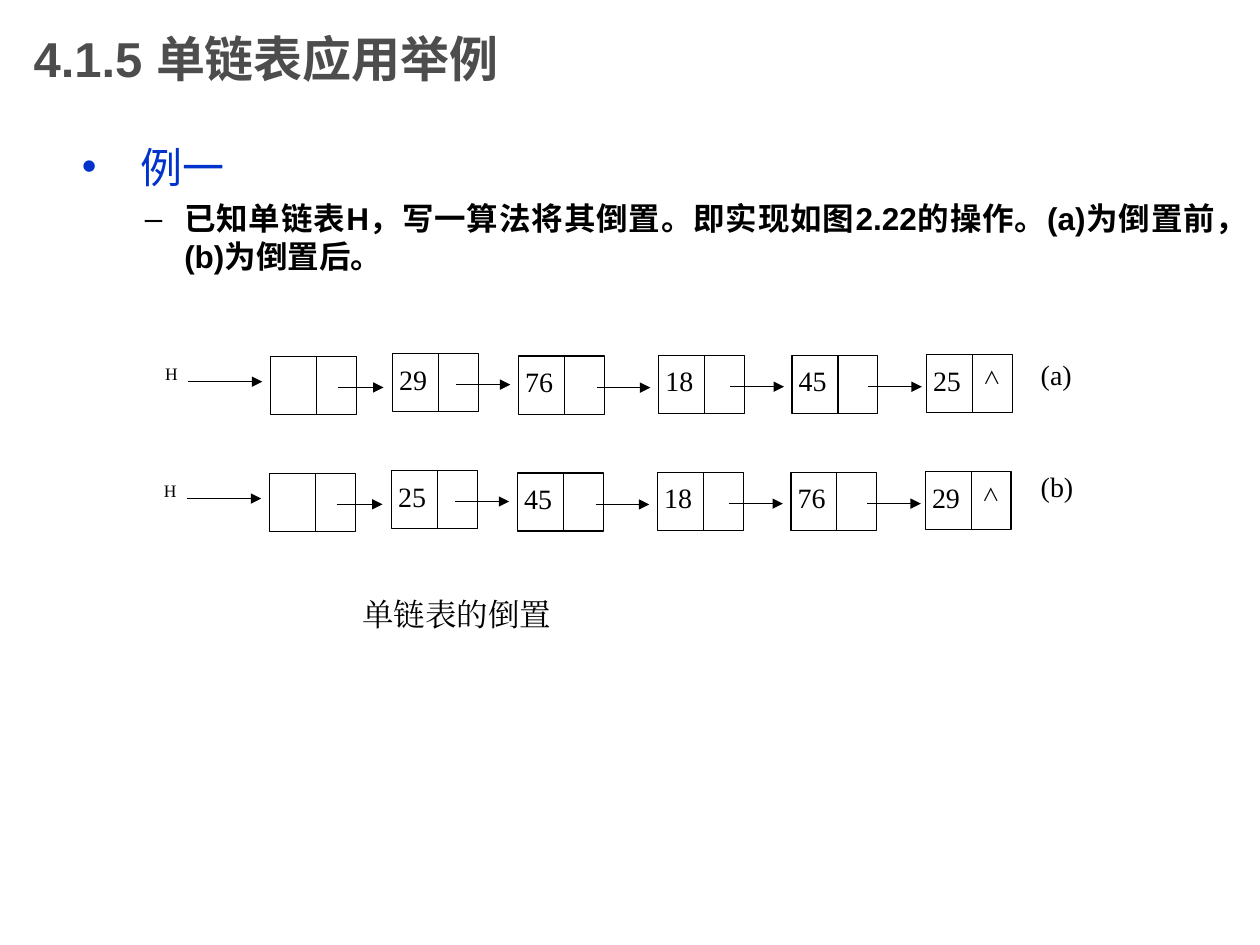
import pptx
import pptx.dml.color
import pptx.enum.dml
import pptx.enum.shapes
import pptx.enum.text
import pptx.oxml
import pptx.oxml.ns
import pptx.util
from lxml import etree

Pt = pptx.util.Pt
ALIGN = pptx.enum.text.PP_ALIGN
ANCHOR = pptx.enum.text.MSO_ANCHOR
qn = pptx.oxml.ns.qn


class Theme:
    black, white, blue, gray = "000000", "FFFFFF", "0033CC", "4D4D4D"
    sans, serif, symbol = "Arial", "Times New Roman", "Noto Sans CJK SC"
    title, heading, body, value, small = 28, 24, 18, 16, 10
    line = 0.75


def rgb(color):
    return pptx.dml.color.RGBColor.from_string(color)


class SlideBuilder:
    def __init__(self, slide, theme):
        self.slide = slide
        self.theme = theme

    def format_runs(self, para, size, font, color, bold=False):
        for span in para.runs:
            span.font.size = Pt(size)
            span.font.bold = bold
            span.font.name = font
            span.font.color.rgb = rgb(color)
            east_asian = etree.SubElement(span.font._element, qn("a:ea"))
            east_asian.set("typeface", font)

    def place(self, shape, left, top, width, height):
        shape.left, shape.top = Pt(left), Pt(top)
        shape.width, shape.height = Pt(width), Pt(height)

    def title(self, text, *frame):
        holder = self.slide.shapes.title
        self.place(holder, *frame)
        holder.text_frame.text = text
        holder.text_frame.vertical_anchor = ANCHOR.MIDDLE
        para = holder.text_frame.paragraphs[0]
        para.alignment = ALIGN.LEFT
        self.format_runs(para, self.theme.title, self.theme.sans, self.theme.gray, True)

    def indent(self, para, margin, hanging=0):
        properties = para._p.get_or_add_pPr()
        properties.set("marL", str(Pt(margin)))
        properties.set("indent", str(-Pt(hanging)))
        return properties

    def bullet(self, para, symbol, color, margin, hanging):
        properties = self.indent(para, margin, hanging)
        bullet_color = etree.SubElement(properties, qn("a:buClr"))
        etree.SubElement(bullet_color, qn("a:srgbClr")).set("val", color)
        etree.SubElement(properties, qn("a:buChar")).set("char", symbol)

    def body(self, heading, detail, *frame):
        theme = self.theme
        holder = self.slide.placeholders[1]
        self.place(holder, *frame)
        text_frame = holder.text_frame
        text_frame.auto_size = pptx.enum.text.MSO_AUTO_SIZE.NONE
        first, second = text_frame.paragraphs[0], text_frame.add_paragraph()
        second.level = 1
        first.text, second.text = heading, detail
        self.bullet(first, "•", theme.blue, 33.5, 33.5)
        self.bullet(second, "–", theme.black, 58.5, 22.5)
        first.space_before, second.space_before = Pt(0), Pt(4.5)
        first.alignment = second.alignment = ALIGN.JUSTIFY
        self.format_runs(first, theme.heading, theme.sans, theme.blue)
        self.format_runs(second, theme.body, theme.sans, theme.black, True)

    def box(self, left, top, width, height, outlined=False):
        shape = self.slide.shapes.add_shape(
            pptx.enum.shapes.MSO_SHAPE.RECTANGLE, Pt(left), Pt(top), Pt(width), Pt(height))
        shape.shadow.inherit = False
        shape.fill.solid()
        shape.fill.fore_color.rgb = rgb(self.theme.white)
        if outlined:
            shape.line.color.rgb = rgb(self.theme.black)
            shape.line.width = Pt(self.theme.line)
        else:
            shape.line.fill.background()
        return shape

    def label(self, text, left, top, width, height, size, font=Theme.serif, margin=0):
        text_frame = self.box(left, top, width, height).text_frame
        text_frame.margin_left = text_frame.margin_right = 0
        text_frame.margin_top = text_frame.margin_bottom = 0
        text_frame.vertical_anchor = ANCHOR.TOP
        text_frame.word_wrap = True
        text_frame.text = text
        para = text_frame.paragraphs[0]
        para.alignment = ALIGN.LEFT
        self.indent(para, margin)
        self.format_runs(para, size, font, self.theme.black)

    def line(self, x1, y1, x2, y2, arrow=False):
        connector = self.slide.shapes.add_connector(
            pptx.enum.shapes.MSO_CONNECTOR.STRAIGHT, Pt(x1), Pt(y1), Pt(x2), Pt(y2))
        connector.line.color.rgb = rgb(self.theme.black)
        connector.line.width = Pt(self.theme.line)
        if arrow:
            outline = connector.line._get_or_add_ln()
            etree.SubElement(outline, qn("a:tailEnd")).set("type", "triangle")
        etree.SubElement(connector._element.spPr, qn("a:effectLst"))

    def node(self, left, top, value, last):
        self.box(left, top, 49, 33.2, outlined=True)
        if value:
            self.label(value, left + 3.8, top + 5, 18.7, 24.5, self.theme.value)
        self.line(left + 26.2, top, left + 26.2, top + 33.2)
        if last:
            self.label("∧", left + 32.6, top + 7, 14.4, 20, self.theme.small,
                       self.theme.symbol)

    def linked_list(self, values, nodes, links, dx, dy):
        self.label("H", 94.3 + dx, 207.4 + dy, 12.5, 25, self.theme.small)
        self.line(107.3 + dx, 218.1 + dy, 149.9 + dx, 218.1 + dy, arrow=True)
        for (left, top), value in zip(nodes, values):
            self.node(left + dx, top + dy, value, value == values[-1])
        for start, end, y in links:
            self.line(start + dx, y + dy, end + dx, y + dy, arrow=True)


# Left and top of each node; start, end and height of each pointer arrow
NODES = [(154.6, 203.8), (224.3, 202), (296.3, 203.5),
         (376.4, 203), (452.6, 203), (529.4, 202.6)]
LINKS = [(193.1, 219.2, 221.4), (260.6, 291.6, 219.8), (341, 371.6, 221.5),
         (417.3, 448, 221), (496, 526.8, 221)]


def main():
    deck = pptx.Presentation()
    deck.slide_width, deck.slide_height = Pt(720), Pt(540)
    page = SlideBuilder(deck.slides.add_slide(deck.slide_layouts[1]), Theme)

    # Title and problem statement
    page.title("4.1.5 单链表应用举例", 12, 0, 540, 66)
    page.body("例一",
              "已知单链表H，写一算法将其倒置。即实现如图2.22的操作。(a)为倒置前，(b)为倒置后。",
              39.6, 77, 680.4, 425.5)

    # Caption
    page.label("单链表的倒置", 123, 340, 365, 31.7, Theme.body, margin=84)

    # List before and after the reversal
    values = ["29", "76", "18", "45", "25"]
    page.linked_list([""] + values, NODES, LINKS, 0, 0)
    page.linked_list([""] + values[::-1], NODES, LINKS, -0.6, 66.8)
    for text, top in (("(a)", 204.5), ("(b)", 268.6)):
        page.label(text, 594.7, top, 26, 31.7, Theme.value)

    deck.save("out.pptx")


if __name__ == "__main__":
    main()
